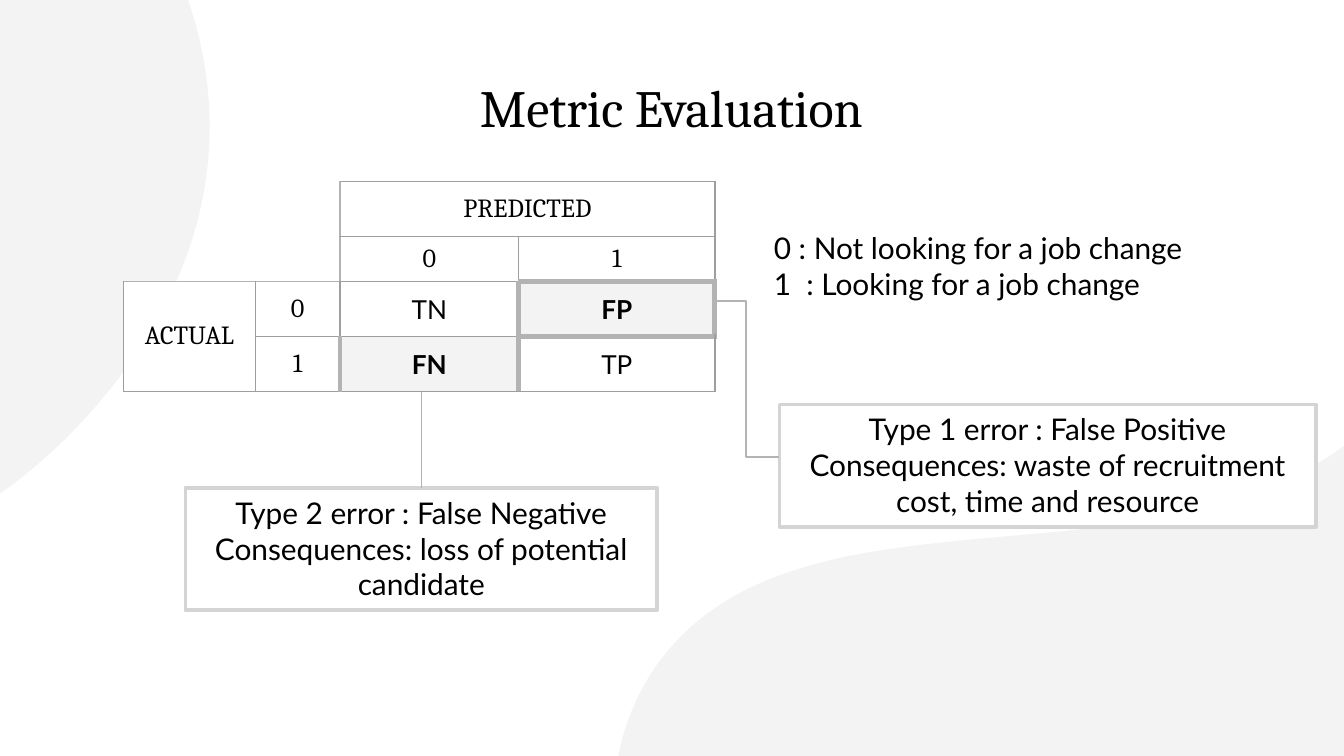
from dataclasses import dataclass

from lxml import etree
from pptx import Presentation
from pptx.dml.color import RGBColor
from pptx.enum.shapes import MSO_CONNECTOR, MSO_SHAPE
from pptx.enum.text import MSO_ANCHOR, PP_ALIGN
from pptx.oxml.ns import qn
from pptx.util import Inches, Pt

CENTER, LEFT = PP_ALIGN.CENTER, PP_ALIGN.LEFT
MIDDLE, TOP = MSO_ANCHOR.MIDDLE, MSO_ANCHOR.TOP
RECTANGLE = MSO_SHAPE.RECTANGLE
STRAIGHT, ELBOW = MSO_CONNECTOR.STRAIGHT, MSO_CONNECTOR.ELBOW
TOP_SITE = 0


@dataclass(frozen=True)
class Theme:
    ink: str = "000000"
    paper: str = "FFFFFF"
    shade: str = "F3F3F3"
    thin_rule: str = "9E9E9E"
    rule: str = "B3B3B3"
    box_edge: str = "D4D4D4"
    serif: str = "Cambria"
    sans: str = "Lato"
    title_size: float = 28
    body_size: float = 16
    table_size: float = 14


THEME = Theme()
# Border codes: none, thin, medium, heavy
BORDERS = {"-": None, "n": (THEME.thin_rule, 0.75), "m": (THEME.rule, 1), "h": (THEME.rule, 3)}


@dataclass(frozen=True)
class MatrixCell:
    """One cell; borders holds codes for left, top, right and bottom."""
    row: int
    column: int
    text: str = ""
    borders: str = "mnnn"
    font: str = THEME.serif
    highlighted: bool = False


@dataclass(frozen=True)
class ErrorBox:
    left: float
    top: float
    width: float
    height: float
    text: str


@dataclass(frozen=True)
class Blob:
    """A start point followed by Bezier segments (6 numbers) and lines (2 numbers)."""
    start: tuple[float, float]
    segments: tuple[tuple[float, ...], ...]


BLOBS = (
    Blob((10.04, 3.29), ((8.53, 4.44, 5.94, 3.51, 4.9, 4.93),
                         (4.75, 5.14, 4.65, 5.37, 4.6, 5.63), (10.04, 5.63))),
    Blob((0, 0), ((0, 3.67), (0.08, 3.63, 2.14, 2.19, 1.4, 0))),
)
COLUMN_WIDTHS = (0.98, 0.63, 1.33, 1.46)
ROW_HEIGHTS = (0.41, 0.31, 0.41, 0.41)
MATRIX = (
    MatrixCell(0, 0, borders="----"),
    MatrixCell(0, 1, borders="--m-"),
    MatrixCell(0, 2, "PREDICTED"),
    MatrixCell(0, 3),
    MatrixCell(1, 0, borders="---m"),
    MatrixCell(1, 1, borders="--mm"),
    MatrixCell(1, 2, "0"),
    MatrixCell(1, 3, "1", "nnnh"),
    MatrixCell(2, 0, "ACTUAL", "nmnn"),
    MatrixCell(2, 1, "0", "nmnn"),
    MatrixCell(2, 2, "TN", "nnhn", THEME.sans),
    MatrixCell(2, 3, "FP", "hhhh", THEME.sans, True),
    MatrixCell(3, 0, borders="nnnn"),
    MatrixCell(3, 1, "1", "nnhn"),
    MatrixCell(3, 2, "FN", "hnhn", THEME.sans, True),
    MatrixCell(3, 3, "TP", "hhnn", THEME.sans),
)
TYPE_1 = ErrorBox(5.8, 3.01, 3.99, 0.91, "Type 1 error : False Positive\n"
                  "Consequences: waste of recruitment cost, time and resource")
TYPE_2 = ErrorBox(1.38, 3.63, 3.51, 0.91, "Type 2 error : False Negative\n"
                  "Consequences: loss of potential candidate")


def color(value: str) -> RGBColor:
    return RGBColor.from_string(value)


def write_text(frame, *texts: str, size: float = THEME.body_size, font: str = THEME.sans,
               bold: bool = False, align=CENTER) -> None:
    """Write one paragraph per text; a newline within a text is a line break."""
    for index, text in enumerate(texts):
        paragraph = frame.paragraphs[0] if index == 0 else frame.add_paragraph()
        paragraph.alignment = align
        for line_number, line in enumerate(text.split("\n")):
            if line_number:
                paragraph.add_line_break()
                etree.SubElement(paragraph._p[-1], qn("a:rPr")).set("sz", str(int(size * 100)))
            run = paragraph.add_run()
            run.text = line
            run.font.size, run.font.name, run.font.bold = Pt(size), font, bold
            run.font.color.rgb = color(THEME.ink)


def prepare_frame(frame, anchor) -> None:
    frame.word_wrap = True
    frame.vertical_anchor = anchor
    frame.margin_left = frame.margin_right = Inches(0.1)
    frame.margin_top = frame.margin_bottom = Inches(0.1 if anchor == MIDDLE else 0.05)


def add_text_box(slide, left: float, top: float, width: float, height: float, anchor=TOP):
    box = slide.shapes.add_textbox(Inches(left), Inches(top), Inches(width), Inches(height))
    prepare_frame(box.text_frame, anchor)
    return box.text_frame


def outline_points(blob: Blob, steps: int = 40) -> list[tuple[int, int]]:
    points = [blob.start]
    for segment in blob.segments:
        if len(segment) == 2:
            points.append(segment)
            continue
        x0, y0 = points[-1]
        x1, y1, x2, y2, x3, y3 = segment
        for step in range(1, steps + 1):
            t = step / steps
            a, b, c, d = (1 - t) ** 3, 3 * t * (1 - t) ** 2, 3 * t * t * (1 - t), t ** 3
            points.append((a * x0 + b * x1 + c * x2 + d * x3, a * y0 + b * y1 + c * y2 + d * y3))
    return [(Inches(x), Inches(y)) for x, y in points]


def add_blob(slide, blob: Blob) -> None:
    start, *rest = outline_points(blob)
    builder = slide.shapes.build_freeform(*start)
    builder.add_line_segments(rest, close=True)
    shape = builder.convert_to_shape()
    shape.shadow.inherit = False
    shape.fill.solid()
    shape.fill.fore_color.rgb = color(THEME.shade)
    shape.line.fill.background()


def set_borders(cell, codes: str) -> None:
    properties = cell._tc.get_or_add_tcPr()
    for side, code in zip("LRTB", (codes[0], codes[2], codes[1], codes[3])):
        line = etree.SubElement(properties, qn(f"a:ln{side}"))
        if BORDERS[code] is None:
            etree.SubElement(line, qn("a:noFill"))
            continue
        value, width = BORDERS[code]
        line.set("w", str(Pt(width)))
        fill = etree.SubElement(line, qn("a:solidFill"))
        etree.SubElement(fill, qn("a:srgbClr")).set("val", value)


def add_matrix(slide) -> None:
    table = slide.shapes.add_table(len(ROW_HEIGHTS), len(COLUMN_WIDTHS), Inches(0.92), Inches(1.35),
                                   Inches(sum(COLUMN_WIDTHS)), Inches(sum(ROW_HEIGHTS))).table
    table.first_row = table.horz_banding = False
    for column, width in zip(table.columns, COLUMN_WIDTHS):
        column.width = Inches(width)
    for row, height in zip(table.rows, ROW_HEIGHTS):
        row.height = Inches(height)
    for item in MATRIX:
        cell = table.cell(item.row, item.column)
        cell.vertical_anchor = MIDDLE
        set_borders(cell, item.borders)
        if item.text:
            cell.fill.solid()
            cell.fill.fore_color.rgb = color(THEME.shade if item.highlighted else THEME.paper)
            write_text(cell.text_frame, item.text, size=THEME.table_size, font=item.font,
                       bold=item.highlighted)
        else:
            cell.fill.background()
            cell.text_frame.paragraphs[0]._p.get_or_add_endParaRPr().set(
                "sz", str(int(THEME.table_size * 100)))
    table.cell(0, 2).merge(table.cell(0, 3))
    table.cell(2, 0).merge(table.cell(3, 0))


def add_error_box(slide, box: ErrorBox):
    shape = slide.shapes.add_shape(RECTANGLE, Inches(box.left), Inches(box.top),
                                   Inches(box.width), Inches(box.height))
    shape.shadow.inherit = False
    shape.fill.solid()
    shape.fill.fore_color.rgb = color(THEME.paper)
    shape.line.color.rgb = color(THEME.box_edge)
    shape.line.width = Pt(2)
    prepare_frame(shape.text_frame, TOP)
    write_text(shape.text_frame, box.text)
    return shape


def add_link(slide, kind, x1: float, y1: float, x2: float, y2: float):
    link = slide.shapes.add_connector(kind, Inches(x1), Inches(y1), Inches(x2), Inches(y2))
    link.line.color.rgb = color(THEME.rule)
    link.line.width = Pt(0.75)
    etree.SubElement(link._element.spPr, qn("a:effectLst"))
    return link


def main() -> None:
    presentation = Presentation()
    presentation.slide_width = Inches(10)
    presentation.slide_height = Inches(10 * 9 / 16)
    slide = presentation.slides.add_slide(presentation.slide_layouts[6])
    for blob in BLOBS:
        add_blob(slide, blob)
    write_text(add_text_box(slide, 3.32, 0.48, 3.35, 0.63, MIDDLE), "Metric Evaluation",
               size=THEME.title_size, font=THEME.serif)
    add_matrix(slide)
    write_text(add_text_box(slide, 5.66, 1.66, 3.24, 0.64), "0 : Not looking for a job change",
               "1  : Looking for a job change", align=LEFT)
    add_error_box(slide, TYPE_1)
    type_2_shape = add_error_box(slide, TYPE_2)
    add_link(slide, ELBOW, 5.3, 2.24, TYPE_1.left, 3.4)
    type_2_center = TYPE_2.left + TYPE_2.width / 2
    link = add_link(slide, STRAIGHT, type_2_center, 2.92, type_2_center, TYPE_2.top)
    link.end_connect(type_2_shape, TOP_SITE)
    presentation.save("out.pptx")


if __name__ == "__main__":
    main()
